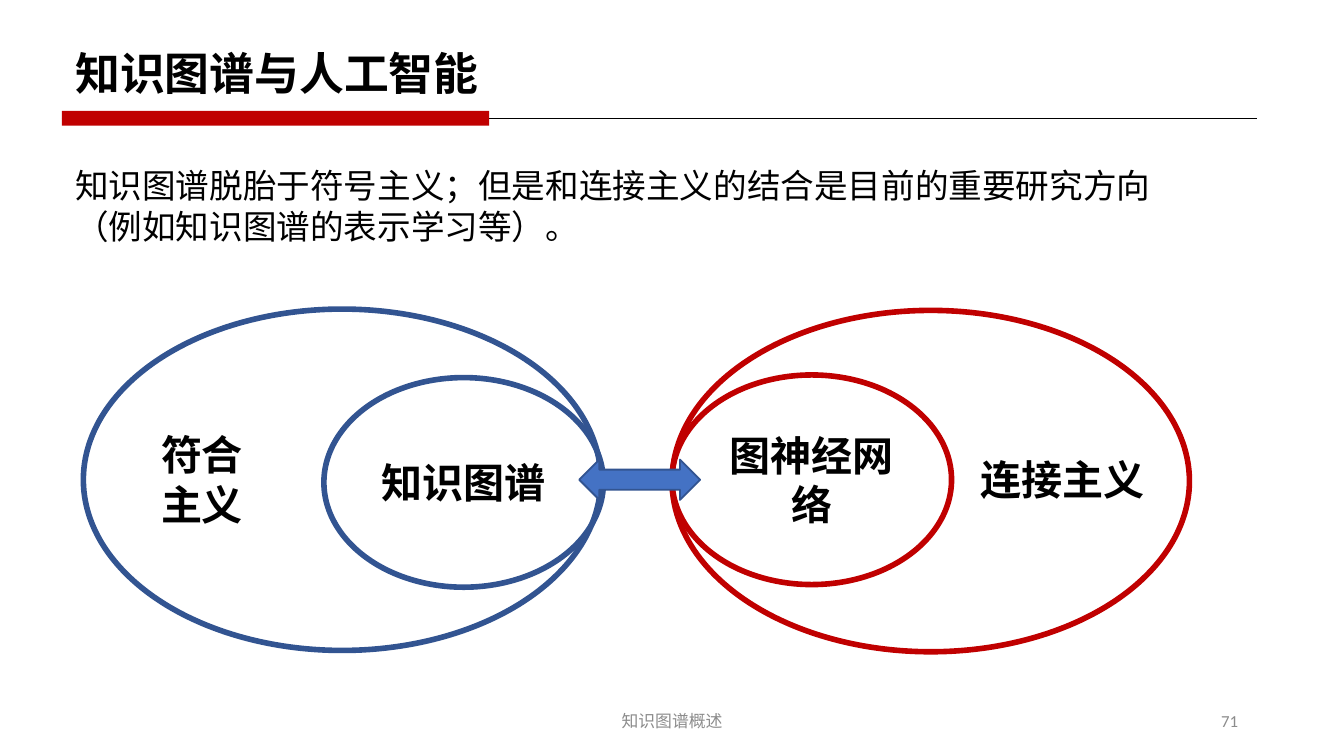
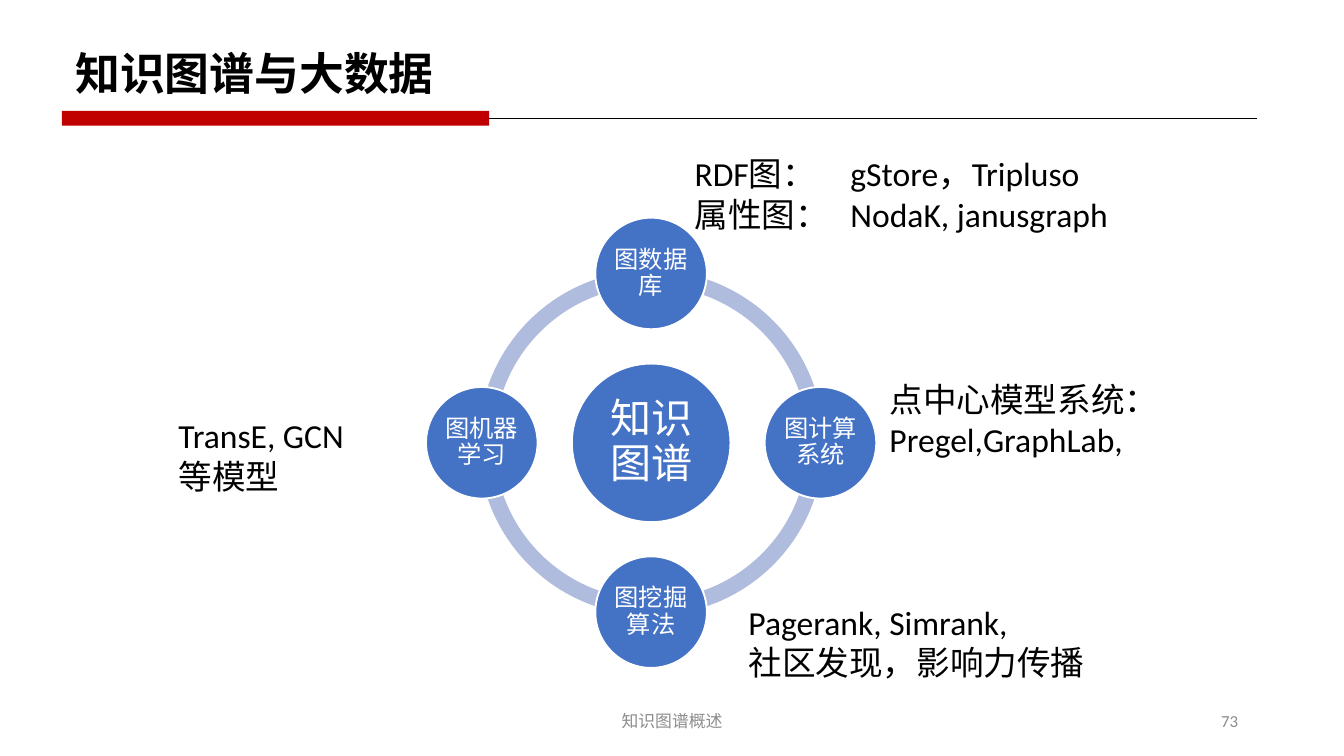
"""Build two slides on knowledge graphs: their ties to AI and to big data."""
from dataclasses import dataclass

from lxml import etree
from pptx import Presentation
from pptx.dml.color import RGBColor
from pptx.enum.shapes import MSO_CONNECTOR, MSO_SHAPE
from pptx.enum.text import MSO_ANCHOR, MSO_AUTO_SIZE, PP_ALIGN
from pptx.oxml.ns import qn
from pptx.util import Inches, Pt

OVAL, RECT, ARC = MSO_SHAPE.OVAL, MSO_SHAPE.RECTANGLE, MSO_SHAPE.BLOCK_ARC
ARROW, STRAIGHT = MSO_SHAPE.LEFT_RIGHT_ARROW, MSO_CONNECTOR.STRAIGHT
LEFT, CENTER, RIGHT = PP_ALIGN.LEFT, PP_ALIGN.CENTER, PP_ALIGN.RIGHT
TOP, MIDDLE = MSO_ANCHOR.TOP, MSO_ANCHOR.MIDDLE
GROW = MSO_AUTO_SIZE.SHAPE_TO_FIT_TEXT


@dataclass(frozen=True)
class Theme:
    black: str = "000000"
    white: str = "FFFFFF"
    gray: str = "8C8C8C"
    red: str = "C00000"
    blue: str = "4472C4"
    navy: str = "325491"
    pale: str = "B0BCDE"
    title: int = 24
    label: int = 22
    body: int = 18
    node: int = 13
    footer: int = 9
    heading_font: str = "Arial"
    font: str = "Calibri"


T = Theme()
COLS, ROWS = 100, 56.25
UNIT = Inches(0.1)


def write(shape, text, size=T.body, color=T.black, bold=False, font=T.font,
          align=LEFT, anchor=TOP, inset=None, spacing=None, tab=None, wrap=True):
    """Fill a shape with formatted text, one paragraph per line."""
    tf = shape.text_frame
    tf.word_wrap, tf.vertical_anchor = wrap, anchor
    if inset is not None:
        tf.margin_left = tf.margin_right = Inches(inset)
        tf.margin_top = tf.margin_bottom = Inches(inset)
    tf.text = text
    for p in tf.paragraphs:
        p.alignment = align
        if spacing:
            p.line_spacing = spacing
        if tab:
            tabs = etree.SubElement(p._p.get_or_add_pPr(), qn("a:tabLst"))
            etree.SubElement(tabs, qn("a:tab"), pos=str(int(tab * UNIT)), algn="l")
        for r in p.runs:
            r.font.size, r.font.bold, r.font.name = Pt(size), bold, font
            r.font.color.rgb = RGBColor.from_string(color)
    return tf


def add(s, kind, col, row, cols, rows, fill=None, line=None, weight=1):
    """Place a preset shape, or a text box when kind is None, on the grid."""
    place = [int(n * UNIT) for n in (col, row, cols, rows)]
    if kind is None:
        return s.shapes.add_textbox(*place)
    sp = s.shapes.add_shape(kind, *place)
    sp.shadow.inherit = False
    if fill:
        sp.fill.solid()
        sp.fill.fore_color.rgb = RGBColor.from_string(fill)
    else:
        sp.fill.background()
    if line:
        sp.line.color.rgb = RGBColor.from_string(line)
        sp.line.width = Pt(weight)
    else:
        sp.line.fill.background()
    return sp


prs = Presentation()
prs.slide_width, prs.slide_height = int(COLS * UNIT), int(ROWS * UNIT)

slides = []
for title, width, number in [("知识图谱与人工智能", 32.3, "71"), ("知识图谱与大数据", 28.7, "73")]:
    s = prs.slides.add_slide(prs.slide_layouts[5])
    sp = s.shapes.title
    sp.left, sp.top, sp.width, sp.height = [int(n * UNIT) for n in (4.6, 2.9, width, 5)]
    tf = write(sp, title, size=T.title, bold=True, font=T.heading_font, wrap=False)
    tf.auto_size = GROW
    rule = s.shapes.add_connector(STRAIGHT, *[int(n * UNIT) for n in (4.6, 8.8, 93.5, 8.8)])
    rule.line.color.rgb = RGBColor.from_string(T.black)
    rule.line.width = Pt(0.5)
    etree.SubElement(rule._element.spPr, qn("a:effectLst"))
    add(s, RECT, 4.6, 8.25, 31.8, 1.1, fill=T.red)
    for text, col, cols, align in [("知识图谱概述", 33.1, 33.8, CENTER), (number, 70.6, 22.5, RIGHT)]:
        write(add(s, None, col, 52.1, cols, 3), text, size=T.footer, color=T.gray,
              align=align, anchor=MIDDLE)
    slides.append(s)

s = slides[0]
for col, row, color in [(6.2, 23, T.navy), (50, 23.1, T.red)]:
    add(s, OVAL, col, row, 38.5, 25.4, line=color, weight=3)
for text, col, row, cols, rows in [("连接主义", 72, 33.3, 15.4, 4.7), ("符合主义", 11, 31.5, 10.3, 8.4)]:
    write(add(s, None, col, row, cols, rows), text, size=T.label, bold=True).auto_size = GROW
for text, col, row, color in [("知识图谱", 24.1, 28.1, T.navy), ("图神经网络", 50, 27.9, T.red)]:
    sp = add(s, OVAL, col, row, 20.8, 15.6, line=color, weight=3)
    write(sp, text, size=T.label, bold=True, align=CENTER, anchor=MIDDLE)
add(s, ARROW, 43.1, 34.2, 9, 3, fill=T.blue, line=T.navy)
write(add(s, None, 4.6, 11.8, 82.8, 7.1),
      "知识图谱脱胎于符号主义；但是和连接主义的结合是目前的重要研究方向"
      "（例如知识图谱的表示学习等）。").auto_size = GROW

s = slides[1]
CX, CY, ORBIT, RING = 48.45, 32.95, 12.6, 25.7
QUARTER, TURN = 54, 216
for start in (108, 54, 0, 162):
    sp = add(s, ARC, CX - RING / 2, CY - RING / 2, RING, RING, fill=T.pale)
    for i, value in enumerate((start, (start + QUARTER) % TURN, 0.046)):
        sp.adjustments[i] = value

nodes = [
    ("知识图谱", 0, 0, 11.8, T.label, 0.03),
    ("图数据库", 0, -1, 8.3, T.node, 0.02),
    ("图计算系统", 1, 0, 8.3, T.node, 0.02),
    ("图挖掘算法", 0, 1, 8.3, T.node, 0.02),
    ("图机器学习", -1, 0, 8.3, T.node, 0.02),
]
for text, dx, dy, d, size, inset in nodes:
    sp = add(s, OVAL, CX + dx * ORBIT - d / 2, CY + dy * ORBIT - d / 2, d, d,
             fill=T.blue, line=T.white)
    write(sp, text, size=size, color=T.white, align=CENTER, anchor=MIDDLE,
          inset=inset, spacing=0.9)

notes = [
    ("Pagerank, Simrank,\n社区发现，影响力传播", 54.7, 44.3, 27.5, None),
    ("点中心模型系统：Pregel,GraphLab,", 65.2, 27.7, 24.4, None),
    ("RDF图：\tgStore，Tripluso\n属性图：\tNodaK, janusgraph", 50.7, 10.9, 39, 11.6),
    ("TransE, GCN\n等模型", 12.3, 30.4, 21, None),
]
for text, col, row, cols, tab in notes:
    write(add(s, None, col, row, cols, 7.1), text, tab=tab).auto_size = GROW

prs.save("out.pptx")
